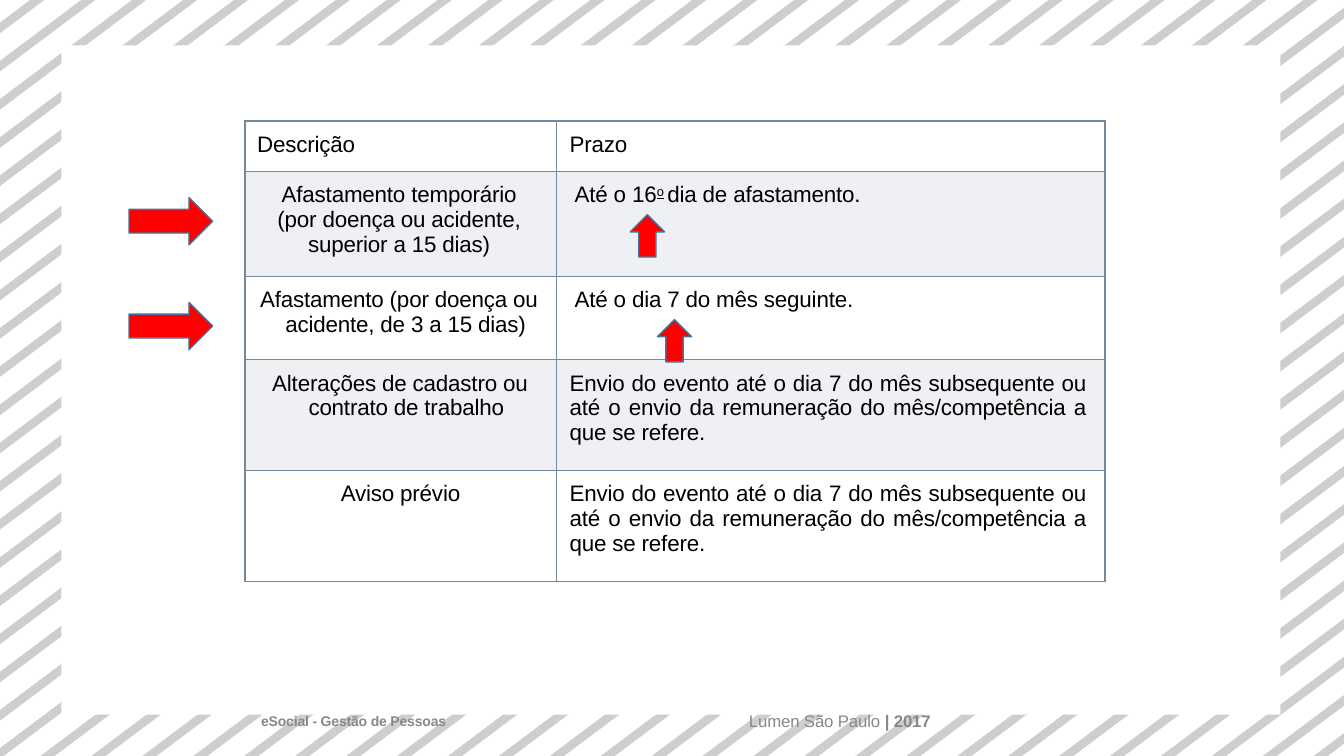
from dataclasses import dataclass

from lxml.etree import SubElement
from pptx import Presentation
from pptx.dml.color import RGBColor
from pptx.enum.shapes import MSO_SHAPE as Shape
from pptx.enum.text import MSO_ANCHOR as Anchor, PP_ALIGN as Align
from pptx.oxml.ns import qn
from pptx.util import Inches, Pt

# Content: each cell is (alignment, left indent, first-line indent, right margin, runs)
SEND = [("Envio do evento até o dia 7 do mês subsequente ou até o envio da "
         "remuneração do mês/competência a que se refere.", "")]
ROWS = [
    [(Align.LEFT, 0.12, 0, 0, [("Descrição", "")]),
     (Align.LEFT, 0.13, 0, 0, [("Prazo", "")])],
    [(Align.CENTER, 0.29, 0, 0.32,
      [("Afastamento temporário\n(por doença ou acidente,\nsuperior a 15 dias)", "")]),
     (Align.LEFT, 0.18, 0, 0,
      [("Até o 16", ""), ("o", "ordinal"), (" ", "raised"), ("dia de afastamento.", "")])],
    [(Align.LEFT, 0.4, -0.25, 0,
      [("Afastamento (por doença ou\nacidente, de 3 a 15 dias)", "")]),
     (Align.LEFT, 0.18, 0, 0, [("Até o dia 7 do mês seguinte.", "")])],
    [(Align.LEFT, 0.63, -0.36, 0,
      [("Alterações de cadastro ou\ncontrato de trabalho", "")]),
     (Align.JUSTIFY, 0.13, 0, 0.18, SEND)],
    [(Align.LEFT, 0.95, 0, 0, [("Aviso prévio", "")]),
     (Align.JUSTIFY, 0.13, 0, 0.18, SEND)],
]
# Footer: (left, top, width, height, alignment, line spacing, size, runs)
FOOTERS = [
    (6.08, 7.05, 4.5, 0.2, Align.CENTER, 14.2, 12,
     [("Lumen São Paulo ", False), ("| 2017", True)]),
    (2.59, 7.07, 3, 0.17, Align.LEFT, None, 10,
     [("eSocial - Gestão de Pessoas", True)]),
]
# Rows pointed at, with the left edge of the small arrow under the deadline
POINTED_ROWS = {1: 6.21, 2: 6.48}


@dataclass(frozen=True)
class Theme:
    font: str = "Arial"
    body: float = 16
    tracking: str = "-10"
    ink: str = "000000"
    muted: str = "888888"
    paper: str = "FFFFFF"
    stripe: str = "CECECE"
    border: str = "748A9C"
    band: str = "ABB8C3"
    arrow: str = "FF0000"
    arrow_line: str = "43739E"


THEME = Theme()

# Grid
WIDTH, HEIGHT = 13.33, 7.5
TABLE_LEFT, TABLE_TOP = 2.43, 1.2
COLUMNS = [3.09, 5.44]
ROW_HEIGHTS = [0.5, 1.04, 0.83, 1.1, 1.1]
SLOPE, STRIPE_COUNT, STRIPE_WIDTH = 0.75, 46, 0.14
FIRST_STRIPE, LAST_STRIPE = 0.44, 23.17


def paint(shape, fill, line=None):
    shape.shadow.inherit = False
    shape.fill.solid()
    shape.fill.fore_color.rgb = RGBColor.from_string(fill)
    if line:
        shape.line.color.rgb = RGBColor.from_string(line)
        shape.line.width = Pt(1)
    else:
        shape.line.fill.background()


def style(span, size, color, bold=False):
    span.font.name = THEME.font
    span.font.size = Pt(size)
    span.font.bold = bold
    span.font.color.rgb = RGBColor.from_string(color)
    span.font._element.set("spc", THEME.tracking)


def add_shape(page, kind, *place):
    return page.shapes.add_shape(kind, *map(Inches, place))


def diagonal(reach):
    """Upper right and lower left ends of the diagonal that meets the top at reach."""
    upper = (reach, 0) if reach <= WIDTH else (WIDTH, (reach - WIDTH) * SLOPE)
    drop = reach * SLOPE
    lower = (0, drop) if drop <= HEIGHT else (reach - HEIGHT / SLOPE, HEIGHT)
    return upper, lower


def draw_frame(page):
    step = (LAST_STRIPE - FIRST_STRIPE) / (STRIPE_COUNT - 1)
    for index in range(STRIPE_COUNT):
        reach = FIRST_STRIPE + index * step
        upper, lower = diagonal(reach)
        inner_upper, inner_lower = diagonal(reach - STRIPE_WIDTH)
        corner = [(0, HEIGHT)] if inner_lower[0] == 0 and lower[1] == HEIGHT else []
        outline = [upper, inner_upper, inner_lower, *corner, lower]
        start, *rest = [(Inches(x), Inches(y)) for x, y in outline]
        builder = page.shapes.build_freeform(*start)
        builder.add_line_segments(rest, close=True)
        paint(builder.convert_to_shape(), THEME.stripe)
    paint(add_shape(page, Shape.RECTANGLE, 0.61, 0.45, 12.09, 6.64), THEME.paper)


def solid_fill(parent, color):
    fill = SubElement(parent, qn("a:solidFill"))
    return SubElement(fill, qn("a:srgbClr"), val=color)


def format_cell(cell, banded):
    props = cell._tc.get_or_add_tcPr()
    for side in ("lnL", "lnR", "lnT", "lnB"):
        solid_fill(SubElement(props, qn("a:" + side), w=str(Pt(1))), THEME.border)
    if banded:
        SubElement(solid_fill(props, THEME.band), qn("a:alpha"), val="20000")
    else:
        cell.fill.background()


def fill_cell(cell, align, indent, first_line, right, runs):
    cell.margin_left = cell.margin_bottom = 0
    cell.margin_top, cell.margin_right = Inches(0.11), Inches(right)
    para = cell.text_frame.paragraphs[0]
    para.alignment = align
    props = para._p.get_or_add_pPr()
    props.set("marL", str(Inches(indent)))
    props.set("indent", str(Inches(first_line)))
    for text, look in runs:
        for number, line in enumerate(text.split("\n")):
            if number:
                para.add_line_break()
            span = para.add_run()
            span.text = line
            style(span, 15.8 if look else THEME.body, THEME.ink)
            if look:
                span.font.underline = look == "ordinal"
                span.font._element.set("baseline", "26000")


def draw_table(page):
    place = (TABLE_LEFT, TABLE_TOP, sum(COLUMNS), sum(ROW_HEIGHTS))
    table = page.shapes.add_table(len(ROWS), len(COLUMNS), *map(Inches, place)).table
    table.first_row = table.horz_banding = False
    for column, width in zip(table.columns, COLUMNS):
        column.width = Inches(width)
    for index, (row, height) in enumerate(zip(table.rows, ROW_HEIGHTS)):
        row.height = Inches(height)
        for cell, content in zip(row.cells, ROWS[index]):
            format_cell(cell, banded=index % 2 == 1)
            fill_cell(cell, *content)


def draw_footers(page):
    for left, top, width, height, align, spacing, size, runs in FOOTERS:
        box = page.shapes.add_textbox(*map(Inches, (left, top, width, height)))
        frame = box.text_frame
        frame.word_wrap = True
        frame.vertical_anchor = Anchor.MIDDLE
        frame.margin_left = frame.margin_right = 0
        frame.margin_top = frame.margin_bottom = 0
        para = frame.paragraphs[0]
        para.alignment = align
        if spacing:
            para.line_spacing = Pt(spacing)
        for text, bold in runs:
            span = para.add_run()
            span.text = text
            style(span, size, THEME.muted, bold)


def draw_arrows(page):
    for row, deadline_left in POINTED_ROWS.items():
        row_top = TABLE_TOP + sum(ROW_HEIGHTS[:row])
        pointer = add_shape(page, Shape.RIGHT_ARROW, 1.28, row_top + 0.26, 0.83, 0.47)
        marker = add_shape(page, Shape.LEFT_ARROW, deadline_left, row_top + 0.47, 0.42, 0.34)
        marker.rotation = 90
        for arrow in (pointer, marker):
            paint(arrow, THEME.arrow, THEME.arrow_line)


def main():
    deck = Presentation()
    deck.slide_width, deck.slide_height = Inches(WIDTH), Inches(HEIGHT)
    page = deck.slides.add_slide(deck.slide_layouts[6])
    draw_frame(page)
    draw_table(page)
    draw_footers(page)
    draw_arrows(page)
    deck.save("out.pptx")


if __name__ == "__main__":
    main()
